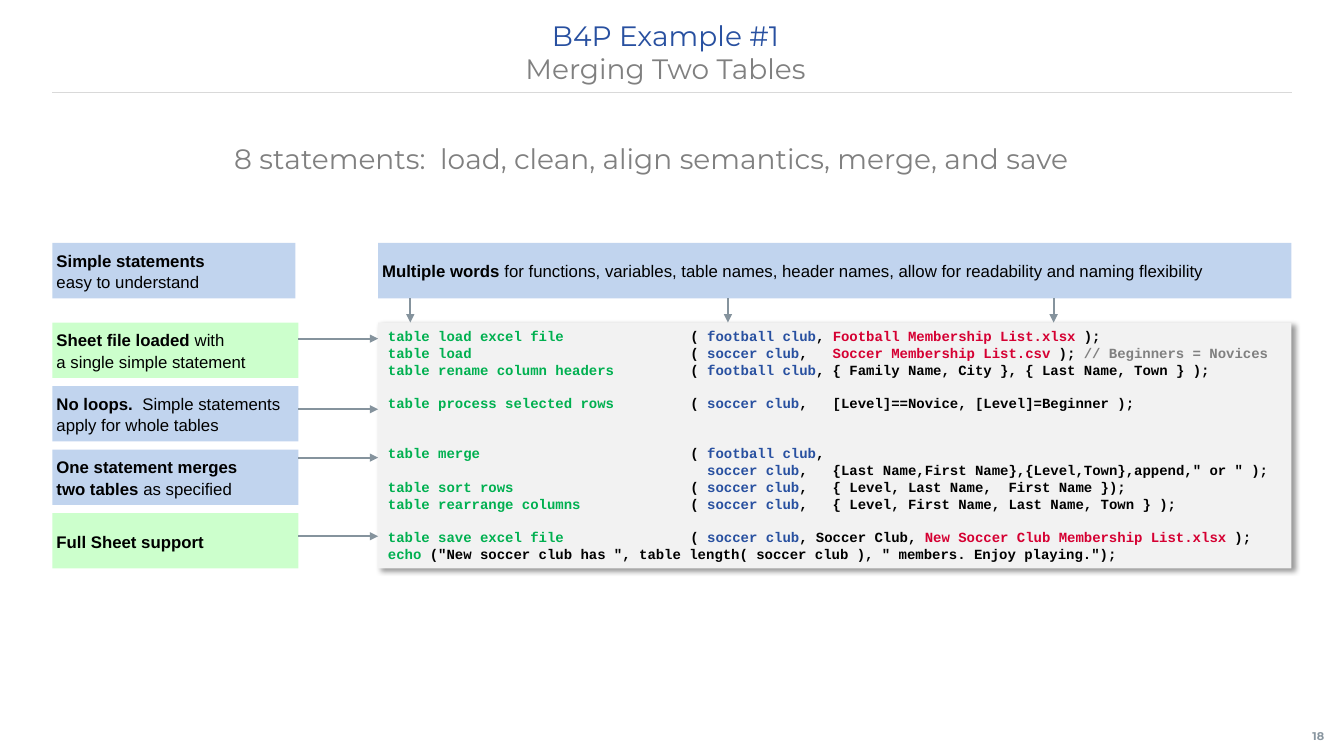
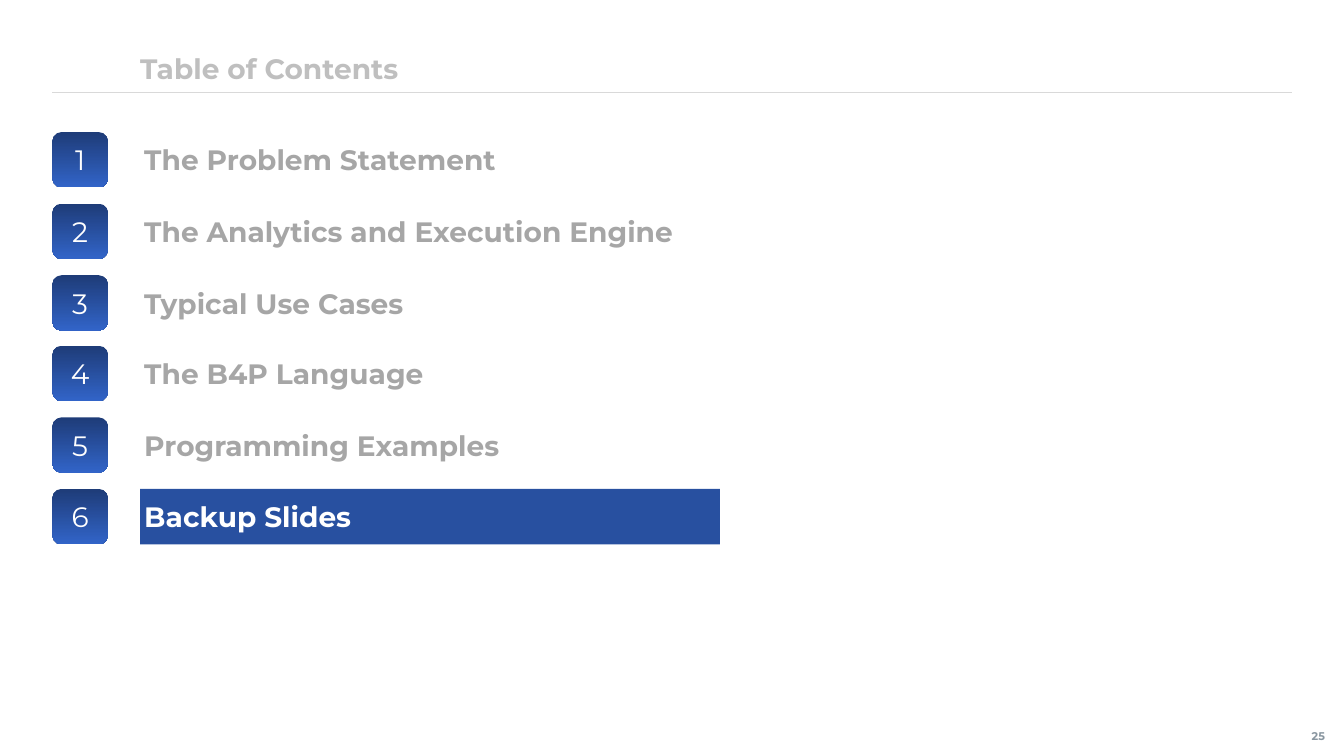
from lxml import etree
from pptx import Presentation
from pptx import util as u
from pptx.dml.color import RGBColor
from pptx.enum import shapes, text
from pptx.oxml import ns

PX = 9144
HUES = {
    "ink": "000000", "white": "FFFFFF", "blue": "2850A0", "green": "00B050",
    "red": "D50032", "gray": "808080", "rule": "D9D9D9", "page": "8996A0",
    "arrow": "85939D", "sky": "C1D4EE", "mint": "CCFFCC", "panel": "F2F2F2",
    "item": "A6A6A6", "head": "BFBFBF", "dark": "1E3C78", "light": "3264C8",
}
TITLE = {"name": "Montserrat", "size": u.Pt(20), "bold": False}
STRONG = {**TITLE, "bold": True}
PAGE = {**STRONG, "size": u.Pt(8)}
LABEL = {"name": "Arial", "size": u.Pt(12), "bold": False}
BOLD = {**LABEL, "bold": True}
CODE = {"name": "Courier New", "size": u.Pt(10), "bold": True}
MID, TOP = text.MSO_ANCHOR.MIDDLE, text.MSO_ANCHOR.TOP
LEFT, CENTER = text.PP_ALIGN.LEFT, text.PP_ALIGN.CENTER
RECT, ROUND = shapes.MSO_SHAPE.RECTANGLE, shapes.MSO_SHAPE.ROUNDED_RECTANGLE
TIGHT, OPEN, PLAIN = (4, 4, 4, 4), (0, 5, 10, 5), (10, 5, 10, 5)

SIDE = [
    ("mint", 16, [[(BOLD, "Sheet file loaded "), (LABEL, "with")],
                  [(LABEL, "a single simple statement")]]),
    ("sky", 23, [[(BOLD, "No loops.  "), (LABEL, "Simple statements")],
                 [(LABEL, "apply for whole tables")]]),
    ("sky", 8, [[(BOLD, "One statement merges")],
                [(BOLD, "two tables "), (LABEL, "as specified")]]),
    ("mint", 23, [[(BOLD, "Full Sheet support")]]),
]
LINES = [
    (0, [("green", "table load excel file"), ("ink", "\t\t( "), ("blue", "football club"),
         ("ink", ", "), ("red", "Football Membership List.xlsx"), ("ink", " );")]),
    (0, [("green", "table load"), ("ink", "\t\t\t( "), ("blue", "soccer club"),
         ("ink", ",   "), ("red", "Soccer Membership List.csv "), ("ink", "); "),
         ("gray", "// Beginners = Novices")]),
    (0, [("green", "table rename column headers"), ("ink", "\t( "), ("blue", "football club"),
         ("ink", ", { Family Name, City }, { Last Name, Town } );")]),
    (1, [("green", "table process selected rows"), ("ink", "\t( "), ("blue", "soccer club"),
         ("ink", ",   [Level]==Novice, [Level]=Beginner );")]),
    (2, [("green", "table merge"), ("ink", "\t\t\t( "), ("blue", "football club"),
         ("ink", ",")]),
    (0, [("blue", "\t\t\t  soccer club"),
         ("ink", ",   {Last Name,First Name},{Level,Town},append,\" or \" );")]),
    (0, [("green", "table sort rows"), ("ink", "\t\t( "), ("blue", "soccer club"),
         ("ink", ",   { Level, Last Name,  First Name });")]),
    (0, [("green", "table rearrange columns"), ("ink", "\t\t( "), ("blue", "soccer club"),
         ("ink", ",   { Level, First Name, Last Name, Town } );")]),
    (1, [("green", "table save excel file"), ("ink", "\t\t( "), ("blue", "soccer club"),
         ("ink", ", Soccer Club, "), ("red", "New Soccer Club Membership List.xlsx"),
         ("ink", " );")]),
    (0, [("green", "echo "),
         ("ink", "(\"New soccer club has \", table length( soccer club ), "
                 "\" members. Enjoy playing.\");")]),
]
ITEMS = ["The Problem Statement", "The Analytics and Execution Engine",
         "Typical Use Cases", "The B4P Language", "Programming Examples",
         "Backup Slides"]


def rgb(hue):
    """Turn a colour name into a colour."""
    return RGBColor.from_string(HUES[hue])


def emu(*nums):
    """Turn px lengths into EMU."""
    return [u.Emu(num * PX) for num in nums]


def style(item, form):
    """Set each attribute in the format dict."""
    for key, value in form.items():
        setattr(item, key, value)


def node(root, tag, **attrs):
    """Add a drawing element under a root."""
    return etree.SubElement(root, ns.qn("a:" + tag), attrs)


def write(shape, paras, align=LEFT, anchor=MID, pad=TIGHT, space=None):
    """Fill a shape with paragraphs of (format, hue, words) runs."""
    frame = shape.text_frame
    sides = ("margin_left", "margin_top", "margin_right", "margin_bottom")
    style(frame, {"word_wrap": True, "vertical_anchor": anchor, **dict(zip(sides, emu(*pad)))})
    for i, runs in enumerate(paras):
        para = frame.add_paragraph() if i else frame.paragraphs[0]
        style(para, {"alignment": align, "line_spacing": space})
        for form, hue, words in runs:
            run = para.add_run()
            run.text = words
            style(run.font, form)
            run.font.color.rgb = rgb(hue)
    return frame


def note(slide, box, paras, **opts):
    """Add a text box."""
    return write(slide.shapes.add_textbox(*emu(*box)), paras, **opts)


def block(slide, box, hue, kind=RECT):
    """Add a filled shape with no outline."""
    shape = slide.shapes.add_shape(kind, *emu(*box))
    shape.shadow.inherit = False
    shape.line.fill.background()
    if hue:
        shape.fill.solid()
        shape.fill.fore_color.rgb = rgb(hue)
    return shape


def line(slide, ends, hue, width, head=False):
    """Draw a straight line, with an arrowhead if asked."""
    link = slide.shapes.add_connector(shapes.MSO_CONNECTOR.STRAIGHT, *emu(*ends))
    link.line.color.rgb = rgb(hue)
    link.line.width = u.Pt(width)
    if head:
        node(link.line._get_or_add_ln(), "tailEnd", type="triangle")
    node(link._element.spPr, "effectLst")


def arrow(slide, *ends):
    """Draw an arrow."""
    line(slide, ends, "arrow", 1.5, True)


def base(deck, page):
    """Add a slide with its rule and page number."""
    slide = deck.slides.add_slide(deck.slide_layouts[6])
    line(slide, (52, 92, 1281, 92), "rule", 1)
    note(slide, (1289, 711, 45, 39), [[(PAGE, "page", page)]],
         align=CENTER, pad=(0, 5, 8, 5))
    return slide


def label(slide, box, hue, rows):
    """Add a coloured label."""
    paras = [[(form, "ink", words) for form, words in row] for row in rows]
    write(block(slide, box, hue), paras, space=1.05)


def panel(slide, box):
    """Add the code panel with its shadow."""
    shape = block(slide, box, "panel")
    glow = node(shape._element.spPr.find(ns.qn("a:effectLst")), "outerShdw",
                blurRad=str(u.Pt(4)), dist=str(u.Pt(3)), dir="2700000",
                algn="tl", rotWithShape="0")
    node(node(glow, "srgbClr", val=HUES["ink"]), "alpha", val="40000")
    paras = [[(CODE, hue, words) for hue, words in runs] for gap, runs in LINES]
    frame = write(shape, paras, anchor=TOP, pad=PLAIN, space=u.Pt(12))
    for para, (gap, runs) in zip(frame.paragraphs, LINES):
        if gap:
            para.space_before = u.Pt(12 * gap)
        tabs = node(para._p.get_or_add_pPr(), "tabLst")
        for inch in (1, 2, 3):
            node(tabs, "tab", pos=str(u.Inches(inch)), algn="l")


def side(slide, box, reach):
    """Stack the side labels, each with an arrow to the panel."""
    left, top, width, high = box
    for i, (hue, drop, rows) in enumerate(SIDE):
        y = top + 63 * i
        label(slide, (left, y, width, high), hue, rows)
        arrow(slide, left + width, y + drop, reach, y + drop)


def banner(slide, box, foot):
    """Add the wide label with arrows down to the panel."""
    left, top, width, high = box
    label(slide, box, "sky", [[
        (BOLD, "Multiple words "),
        (LABEL, "for functions, variables, table names, header names, "
                "allow for readability and naming flexibility")]])
    for x in (32, 347, 670):
        arrow(slide, left + x, top + high, left + x, foot)


def sample(deck):
    """Build the code example slide."""
    slide = base(deck, "18")
    note(slide, (51, 13, 1228, 79),
         [[(TITLE, "blue", "B4P Example #1")], [(TITLE, "gray", "Merging Two Tables")]],
         align=CENTER, anchor=TOP, pad=OPEN)
    note(slide, (37, 135, 1228, 47),
         [[(TITLE, "gray", "8 statements:  load, clean, align semantics, merge, and save")]],
         align=CENTER, anchor=TOP, pad=OPEN)
    label(slide, (52, 241, 241, 55), "sky",
          [[(BOLD, "Simple statements")], [(LABEL, "easy to understand")]])
    panel(slide, (375, 320, 906, 244))
    banner(slide, (375, 241, 906, 55), 320)
    side(slide, (52, 320, 244, 55), 375)


def entry(slide, box, count, words, live):
    """Add one numbered entry, with a bar if it is live."""
    left, top, width, high = box
    badge = block(slide, (left, top, high, high), None, ROUND)
    badge.fill.gradient()
    badge.fill.gradient_angle = 270
    for stop, hue in zip(badge.fill.gradient_stops, ("dark", "light")):
        stop.color.rgb = rgb(hue)
    write(badge, [[(TITLE, "white", str(count))]], align=CENTER)
    if live:
        write(block(slide, (left + 87, top, 575, high), "blue"), [[(STRONG, "white", words)]])
    else:
        note(slide, (left + 87, top, width - 87, high), [[(STRONG, "item", words)]])


def index(deck):
    """Build the contents slide."""
    slide = base(deck, "25")
    note(slide, (135, 40, 701, 55), [[(STRONG, "head", "Table of Contents")]])
    for i, words in enumerate(ITEMS):
        entry(slide, (52, 131 + round(70.8 * i), 1229, 55), i + 1, words,
              i == len(ITEMS) - 1)


def main():
    """Build and save the deck."""
    deck = Presentation()
    deck.slide_width, deck.slide_height = emu(1333, 750)
    sample(deck)
    index(deck)
    deck.save("out.pptx")


if __name__ == "__main__":
    main()
